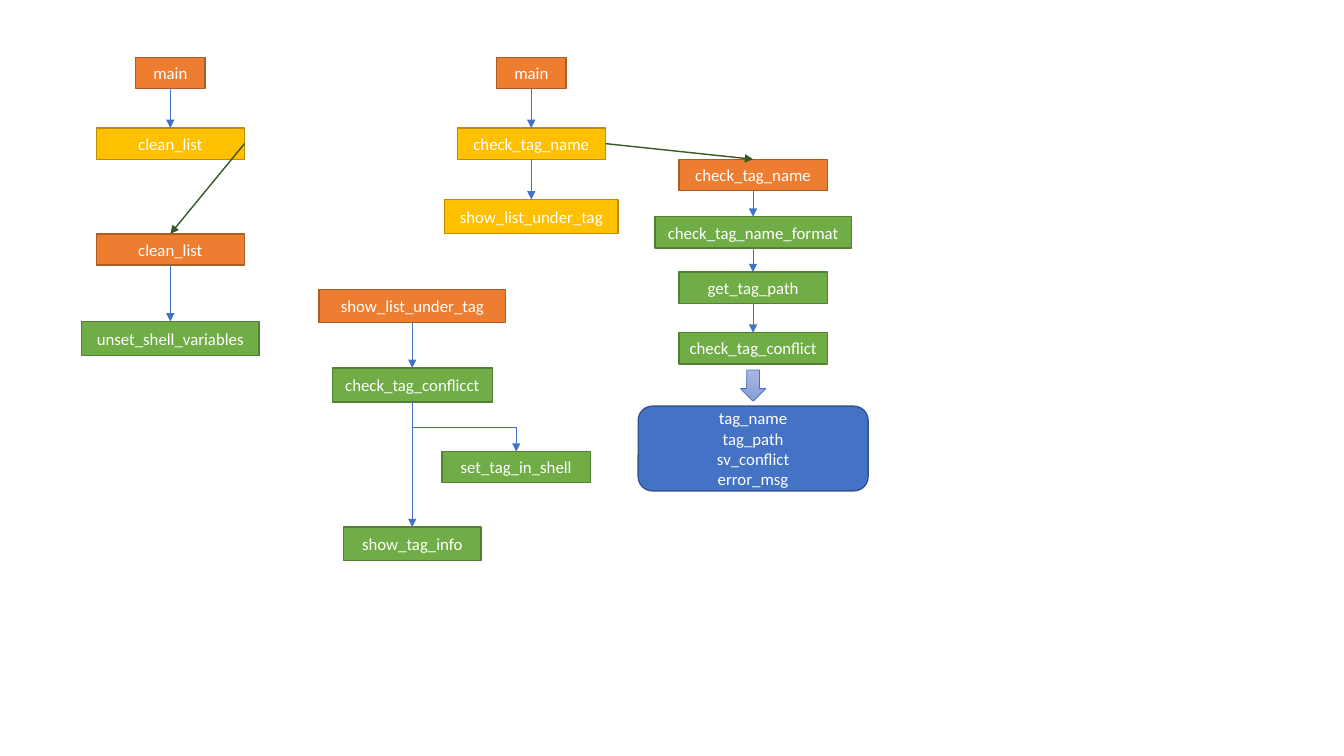
from lxml import etree
from pptx import Presentation, util as u
from pptx.dml.color import RGBColor
from pptx.enum import shapes, text
from pptx.oxml.ns import qn

CELL = 0.1  # grid pitch in inches: 133.3 columns by 75 rows
ORANGE = ("ED7D31", "AF5C24")
YELLOW = ("FFC000", "BD8E00")
GREEN = ("70AD47", "538035")
BLUE = ("4472C4", "325491")
DARK = "385723"
BOTTOM, RIGHT, TOP = 2, 3, 0
KIND = shapes.MSO_SHAPE
LINK = shapes.MSO_CONNECTOR


def grid(cells):
    return u.Inches(cells * CELL)


def color(code):
    return RGBColor.from_string(code)


def assign(item, values):
    for name, value in values.items():
        setattr(item, name, value)


def block(slide, kind, mid, top, wide, high, edge, weight):
    """Add a bare shape centred on column mid."""
    shape = slide.shapes.add_shape(
        kind, grid(mid - wide / 2), grid(top), grid(wide), grid(high))
    shape.shadow.inherit = False
    shape.line.color.rgb = color(edge)
    shape.line.width = u.Pt(weight)
    return shape


def node(slide, mid, top, wide, high, paint, words, kind=KIND.RECTANGLE):
    """Add a filled box with centred white text."""
    fill, edge = paint
    shape = block(slide, kind, mid, top, wide, high, edge, 1)
    shape.fill.solid()
    shape.fill.fore_color.rgb = color(fill)
    frame = shape.text_frame
    assign(frame, {
        "text": words, "word_wrap": True,
        "vertical_anchor": text.MSO_ANCHOR.MIDDLE,
        "margin_left": grid(0.5), "margin_right": grid(0.5),
        "margin_top": grid(0.3), "margin_bottom": grid(0.3)})
    for para in frame.paragraphs:
        para.alignment = text.PP_ALIGN.CENTER
        assign(para.font, {"name": "Calibri", "size": u.Pt(12)})
        para.font.color.rgb = color("FFFFFF")
    return shape


def arrow(slide, kind, start, side, end, paint=BLUE[0], weight=0.5):
    """Join a side of start to the top of end."""
    link = slide.shapes.add_connector(kind, 0, 0, 0, 0)
    link.begin_connect(start, side)
    link.end_connect(end, TOP)
    link.line.color.rgb = color(paint)
    link.line.width = u.Pt(weight)
    props = link._element.spPr
    tail = etree.SubElement(link.line._get_or_add_ln(), qn("a:tailEnd"))
    tail.set("type", "triangle")
    etree.SubElement(props, qn("a:effectLst"))
    if kind == LINK.ELBOW:
        turn(link, props.find(qn("a:xfrm")))


def turn(link, frame):
    """Rotate an elbow so that it leaves and arrives vertically."""
    run = link.end_x - link.begin_x
    drop = link.end_y - link.begin_y
    midx = (link.begin_x + link.end_x) // 2
    midy = (link.begin_y + link.end_y) // 2
    frame.attrib.pop("flipH", None)
    assign(link, {"left": midx - drop // 2, "top": midy - abs(run) // 2,
                  "width": drop, "height": abs(run)})
    frame.set("rot", "5400000" if run < 0 else "16200000")
    if run >= 0:
        frame.set("flipH", "1")


def chain(slide, mid, top, rows, kind=LINK.ELBOW):
    """Stack boxes under each other, each joined to the next."""
    nodes = [node(slide, mid, top + down, wide, high, paint, words)
             for words, paint, down, wide, high in rows]
    for upper, lower in zip(nodes, nodes[1:]):
        arrow(slide, kind, upper, BOTTOM, lower)
    return nodes


def clean(slide, mid, top):
    """Flow that clears the list."""
    caller = chain(slide, mid, top, [
        ("main", ORANGE, 0, 6.9, 3.1),
        ("clean_list", YELLOW, 7, 14.7, 3.1)])
    called = chain(slide, mid, top, [
        ("clean_list", ORANGE, 17.5, 14.7, 3.1),
        ("unset_shell_variables", GREEN, 26.2, 17.6, 3.4)])
    arrow(slide, LINK.STRAIGHT, caller[1], RIGHT, called[0], DARK, 1)


def entry(slide, mid, top):
    """Main flow of the tag check; returns its check box."""
    nodes = chain(slide, mid, top, [
        ("main", ORANGE, 0, 6.9, 3.1),
        ("check_tag_name", YELLOW, 7, 14.7, 3.1)])
    show = node(slide, mid, top + 14.1, 17.2, 3.4, YELLOW,
                "show_list_under_tag")
    arrow(slide, LINK.STRAIGHT, nodes[1], BOTTOM, show)
    return nodes[1]


def check(slide, mid, top, caller):
    """Steps of the tag check and the values it gives."""
    nodes = chain(slide, mid, top, [
        ("check_tag_name", ORANGE, 0, 14.7, 3.1),
        ("check_tag_name_format", GREEN, 5.7, 19.5, 3.1),
        ("get_tag_path", GREEN, 11.2, 14.7, 3.1),
        ("check_tag_conflict", GREEN, 17.2, 14.7, 3.1)])
    arrow(slide, LINK.STRAIGHT, caller, RIGHT, nodes[0], DARK, 1)
    node(slide, mid, top + 24.5, 22.8, 8.4, BLUE,
         "tag_name\ntag_path\nsv_conflict\nerror_msg",
         KIND.ROUNDED_RECTANGLE)
    # Block arrow with a vertical gradient
    fill = block(slide, KIND.DOWN_ARROW, mid, top + 20.9, 2.5, 3.1,
                 BLUE[0], 0.5).fill
    fill.gradient()
    fill.gradient_angle = 270
    for stop, code in zip(fill.gradient_stops, ("A8B7DF", "889ED7")):
        stop.color.rgb = color(code)


def listing(slide, mid, top):
    """Flow that shows the list, with one side branch."""
    nodes = chain(slide, mid, top, [
        ("show_list_under_tag", ORANGE, 0, 18.5, 3.3),
        ("check_tag_conflicct", GREEN, 7.8, 15.9, 3.4),
        ("show_tag_info", GREEN, 23.6, 13.6, 3.3)])
    branch = node(slide, mid + 10.3, top + 16.1, 14.7, 3.1, GREEN,
                  "set_tag_in_shell")
    arrow(slide, LINK.ELBOW, nodes[1], BOTTOM, branch)


def main():
    deck = Presentation()
    assign(deck, {"slide_width": u.Inches(13.33),
                  "slide_height": u.Inches(7.5)})
    slide = deck.slides.add_slide(deck.slide_layouts[6])
    clean(slide, 16.9, 5.7)
    caller = entry(slide, 52.7, 5.7)
    check(slide, 74.7, 15.8, caller)
    listing(slide, 40.9, 28.7)
    deck.save("out.pptx")


if __name__ == "__main__":
    main()
